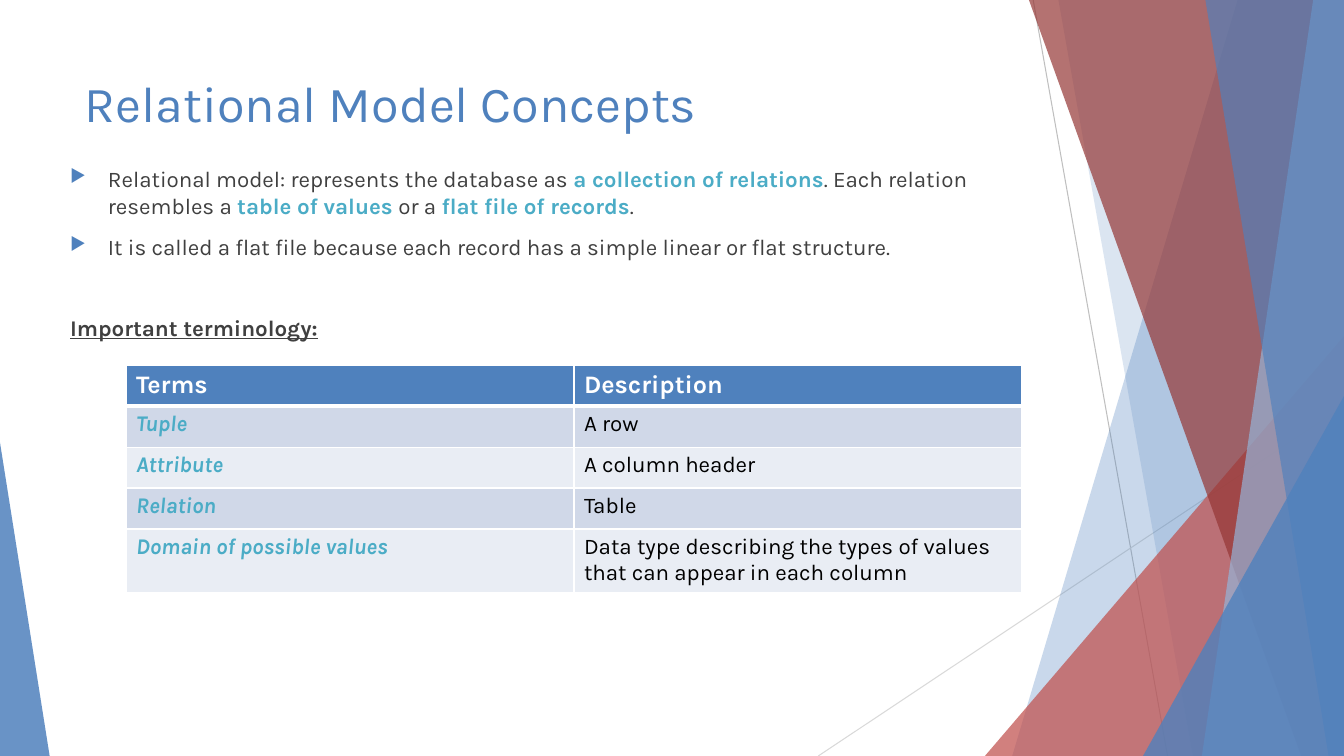
"""Build the Relational Model Concepts slide."""
from lxml import etree
from pptx import Presentation
from pptx.dml.color import RGBColor
from pptx.enum.shapes import MSO_CONNECTOR, MSO_SHAPE
from pptx.oxml import parse_xml
from pptx.oxml.ns import nsdecls, qn
from pptx.util import Pt

LINE, TRIANGLE = MSO_CONNECTOR.STRAIGHT, MSO_SHAPE.ISOSCELES_TRIANGLE
W, H = 960, 540
FONT = "Karla"
COLORS = dict(blue="4F81BD", red="C0504D", maroon="953735", sky="95B3D7",
              teal="4BACC6", text="404040", black="000000", white="FFFFFF",
              gray="BFBFBF", pale="D9D9D9", band="D0D8E8", light="E9EDF4")

TITLE = "Relational Model Concepts"
KEY = dict(color="teal", bold=True)
BODY = [
    (True, 10, [("Relational model: represents the database as ", {}),
                ("a collection of relations", KEY),
                (". Each relation resembles a ", {}), ("table of values ", KEY),
                ("or a ", {}), ("flat file of records", KEY), (".", {})]),
    (True, 10, [("It is called a flat file because each record has a simple "
                 "linear or flat structure.", {})]),
    (False, 39, [("Important terminology:", dict(bold=True, underline=True))]),
]
TERMS = [
    ("Terms", "Description"),
    ("Tuple", "A row"),
    ("Attribute", "A column header"),
    ("Relation", "Table"),
    ("Domain of possible values",
     "Data type describing the types of values that can appear in each column"),
]
ROW_HEIGHTS = [29.2] * 4 + [45.5]
RULES = [("gray", 738, 0, 834, H), ("pale", W, 290, 584.5, H)]
FACETS = [
    ("band", 884, 723, "blue", 30),
    ("band", 756, 852, "blue", 20),
    ("triangle", (703.5, 240, 256.5, 300), 1, "red", 72),
    ("band", 735, 929.5, "maroon", 70),
    ("band", 938, 858.5, "sky", 70),
    ("band", 861, 949, "blue", 65),
    ("triangle", (816.5, 283, 143.5, 257), 1, "blue", 80),
    ("triangle", (0, 316, 35.5, 224), 0, "blue", 85),
]


def rgb(name):
    return RGBColor.from_string(COLORS[name])


def add_run(p, text, size=16, color="text", bold=False, italic=False, underline=False):
    r = p.add_run()
    r.text = text
    f = r.font
    f.name, f.size, f.color.rgb = FONT, Pt(size), rgb(color)
    f.bold, f.italic, f.underline = bold, italic, underline


def add_textbox(s, *box):
    tf = s.shapes.add_textbox(*map(Pt, box)).text_frame
    tf.word_wrap = True
    return tf


def add_rule(s, color, *ends):
    line = s.shapes.add_connector(LINE, *map(Pt, ends))
    line.line.color.rgb, line.line.width = rgb(color), Pt(0.75)
    etree.SubElement(line._element.spPr, qn("a:effectLst"))


def add_facet(s, kind, a, b, color, alpha):
    if kind == "band":
        fb = s.shapes.build_freeform(Pt(a), 0)
        fb.add_line_segments([(Pt(x), Pt(y)) for x, y in ((W, 0), (W, H), (b, H))])
        sp = fb.convert_to_shape()
    else:
        sp = s.shapes.add_shape(TRIANGLE, *map(Pt, a))
        sp.adjustments[0] = b
    sp.shadow.inherit = False
    sp.line.fill.background()
    sp.fill.solid()
    sp.fill.fore_color.rgb = rgb(color)
    clr = sp._element.spPr.find(".//" + qn("a:srgbClr"))
    etree.SubElement(clr, qn("a:alpha"), val=str(alpha * 1000))


def add_bullet(p):
    pPr = p._p.get_or_add_pPr()
    pPr.set("marL", str(Pt(27)))
    pPr.set("indent", str(-Pt(27)))
    for xml in (f'<a:buClr {nsdecls("a")}><a:srgbClr val="{COLORS["blue"]}"/></a:buClr>',
                f'<a:buSzPct {nsdecls("a")} val="80000"/>',
                f'<a:buChar {nsdecls("a")} char="▶"/>'):
        pPr.append(parse_xml(xml))


def style_cell(cell, fill, top, bottom):
    tcPr = cell._tc.get_or_add_tcPr()
    for side, width in zip("LRTB", (1, 1, top, bottom)):
        tcPr.append(parse_xml(
            f'<a:ln{side} {nsdecls("a")} w="{Pt(width)}"><a:solidFill>'
            f'<a:srgbClr val="{COLORS["white"]}"/></a:solidFill></a:ln{side}>'))
    cell.fill.solid()
    cell.fill.fore_color.rgb = rgb(fill)


def add_terms(s):
    table = s.shapes.add_table(len(TERMS), 2, Pt(90), Pt(261), Pt(640),
                               Pt(sum(ROW_HEIGHTS))).table
    for i, (row, height) in enumerate(zip(TERMS, ROW_HEIGHTS)):
        table.rows[i].height = Pt(height)
        fill = "blue" if i == 0 else "band" if i % 2 else "light"
        for j, text in enumerate(row):
            cell = table.cell(i, j)
            style_cell(cell, fill, 3 if i == 1 else 1, 3 if i == 0 else 1)
            if i == 0:
                fmt = dict(size=18, color="white", bold=True)
            else:
                fmt = dict(KEY, italic=True) if j == 0 else dict(color="black")
            add_run(cell.text_frame.paragraphs[0], text, **fmt)


prs = Presentation()
prs.slide_width, prs.slide_height = Pt(W), Pt(H)
s = prs.slides.add_slide(prs.slide_layouts[6])
for rule in RULES:
    add_rule(s, *rule)
for facet in FACETS:
    add_facet(s, *facet)
tf = add_textbox(s, 53.5, 48, 677, 104)
add_run(tf.paragraphs[0], TITLE, size=36, color="blue")
tf = add_textbox(s, 43, 114.5, 721.5, 367)
for i, (bulleted, before, runs) in enumerate(BODY):
    p = tf.add_paragraph() if i else tf.paragraphs[0]
    p.space_before = Pt(before)
    if bulleted:
        add_bullet(p)
    for text, fmt in runs:
        add_run(p, text, **fmt)
add_terms(s)
prs.save("out.pptx")
